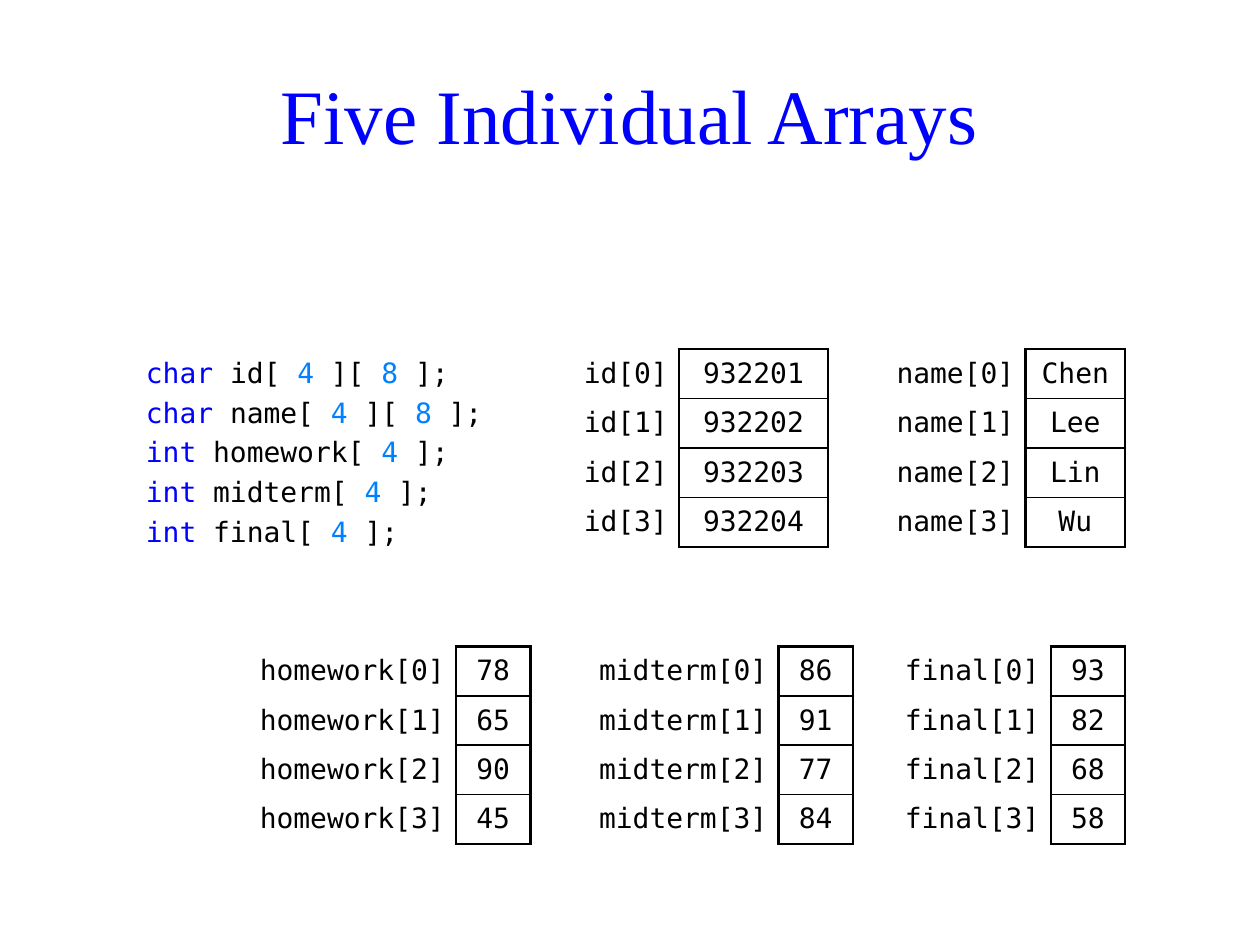
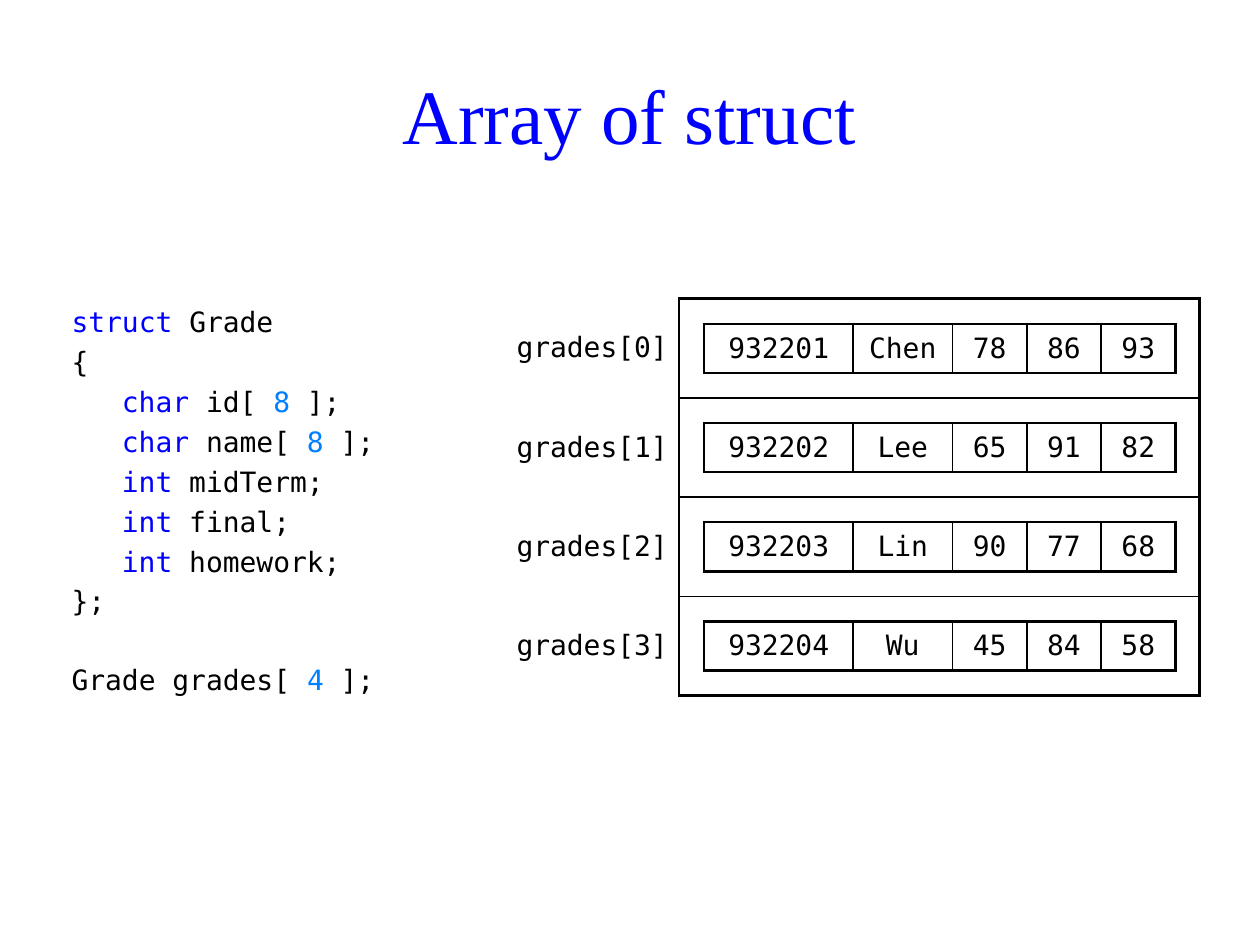
"""Two slides that compare five separate arrays with one array of struct."""
from lxml import etree
from pptx import Presentation
from pptx.dml.color import RGBColor
from pptx.enum.text import MSO_ANCHOR, PP_ALIGN
from pptx.oxml.ns import qn
from pptx.util import Inches, Pt

CENTER, RIGHT, MIDDLE = PP_ALIGN.CENTER, PP_ALIGN.RIGHT, MSO_ANCHOR.MIDDLE
BLACK = RGBColor(0x00, 0x00, 0x00)
BLUE = RGBColor(0x00, 0x00, 0xFF)
SKY = RGBColor(0x00, 0x80, 0xFF)
TITLE_FONT, CODE_FONT = "Times New Roman", "DejaVu Sans Mono"
CODE_SIZE = Pt(16)
OUTER_LINE, INNER_LINE = Pt(1.5), Pt(1)
KEYWORDS = {"char", "int", "struct"}

GRADES = {
    "id": ["932201", "932202", "932203", "932204"],
    "name": ["Chen", "Lee", "Lin", "Wu"],
    "homework": ["78", "65", "90", "45"],
    "midterm": ["86", "91", "77", "84"],
    "final": ["93", "82", "68", "58"],
}
ARRAY_CODE = """char id[ 4 ][ 8 ];
char name[ 4 ][ 8 ];
int homework[ 4 ];
int midterm[ 4 ];
int final[ 4 ];"""
STRUCT_CODE = """struct Grade
{
   char id[ 8 ];
   char name[ 8 ];
   int midTerm;
   int final;
   int homework;
};

Grade grades[ 4 ];"""


def add_page(title, code, left, top, width, height):
    page = deck.slides.add_slide(deck.slide_layouts[6])
    box = page.shapes.add_textbox(Inches(0.27), Inches(0.21), Inches(9.45), Inches(1.38))
    box.text_frame.word_wrap = True
    box.text_frame.vertical_anchor = MIDDLE
    para = box.text_frame.paragraphs[0]
    para.text, para.alignment = title, CENTER
    para.font.name, para.font.size, para.font.color.rgb = TITLE_FONT, Pt(44), BLUE

    box = page.shapes.add_textbox(Inches(left), Inches(top), Inches(width), Inches(height))
    frame = box.text_frame
    frame.word_wrap = True
    para = None
    for line in code.splitlines():
        if not line:
            para.space_after = Pt(25.8)
            continue
        para = frame.add_paragraph() if para is not None else frame.paragraphs[0]
        para.font.name, para.font.size = CODE_FONT, CODE_SIZE
        para.space_after = Pt(3.6)
        if line.startswith(" "):
            para._p.get_or_add_pPr().set("marL", str(Inches(0.4)))
        words = line.split()
        for index, word in enumerate(words):
            span = para.add_run()
            span.text = word if index == len(words) - 1 else word + " "
            span.font.color.rgb = BLUE if word in KEYWORDS else SKY if word.isdigit() else BLACK
    return page


def add_grid(page, left, top, widths, height, rows, label_columns=()):
    frame = page.shapes.add_table(len(rows), len(widths), Inches(left), Inches(top),
                                  Inches(sum(widths)), Inches(height))
    table = frame.table
    table.first_row = table.horz_banding = False
    for column, width in zip(table.columns, widths):
        column.width = Inches(width)
    boxed = {(r, c) for r in range(len(rows)) for c in range(len(widths))
             if c not in label_columns}
    for r, row in enumerate(rows):
        for c, text in enumerate(row):
            cell = table.cell(r, c)
            cell.vertical_anchor = MIDDLE
            cell.margin_left = cell.margin_right = Inches(0.09)
            cell.margin_top = cell.margin_bottom = Inches(0.04)
            para = cell.text_frame.paragraphs[0]
            para.text = text
            para.alignment = RIGHT if c in label_columns else CENTER
            para.font.name, para.font.size, para.font.color.rgb = CODE_FONT, CODE_SIZE, BLACK
            neighbours = {"L": (r, c - 1), "R": (r, c + 1), "T": (r - 1, c), "B": (r + 1, c)}
            for side, neighbour in neighbours.items():
                boxes = ((r, c) in boxed) + (neighbour in boxed)
                line = etree.SubElement(cell._tc.get_or_add_tcPr(), qn("a:ln" + side))
                if boxes == 0:
                    etree.SubElement(line, qn("a:noFill"))
                    continue
                line.set("w", str(INNER_LINE if boxes == 2 else OUTER_LINE))
                fill = etree.SubElement(line, qn("a:solidFill"))
                etree.SubElement(fill, qn("a:srgbClr")).set("val", str(BLACK))
            cell.fill.background()


deck = Presentation()
deck.slide_width, deck.slide_height = Inches(10), Inches(7.5)

arrays_page = add_page("Five Individual Arrays", ARRAY_CODE, 1.06, 2.77, 2.95, 1.58)
array_tables = [
    (1.65, 5.13, [1.97, 0.59, 1.97, 0.59, 1.57, 0.59], ["homework", "midterm", "final"]),
    (4.41, 2.77, [0.98, 1.18, 1.57, 0.79], ["id", "name"]),
]
for left, top, widths, names in array_tables:
    rows = [[text for name in names for text in (f"{name}[{i}]", GRADES[name][i])]
            for i in range(4)]
    add_grid(arrays_page, left, top, widths, 1.57, rows, range(0, len(widths), 2))

struct_top, struct_height = 2.37, 3.15
struct_page = add_page("Array of struct", STRUCT_CODE, 0.47, struct_top, 2.76, struct_height)
add_grid(struct_page, 3.82, struct_top, [1.57, 4.13], struct_height,
         [[f"grades[{i}]", ""] for i in range(4)], [0])
for i, record in enumerate(zip(*GRADES.values())):
    record_top = struct_top + 0.2 + i * struct_height / 4
    add_grid(struct_page, 5.59, record_top, [1.18, 0.79, 0.59, 0.59, 0.59], 0.39, [record])

deck.save("out.pptx")
